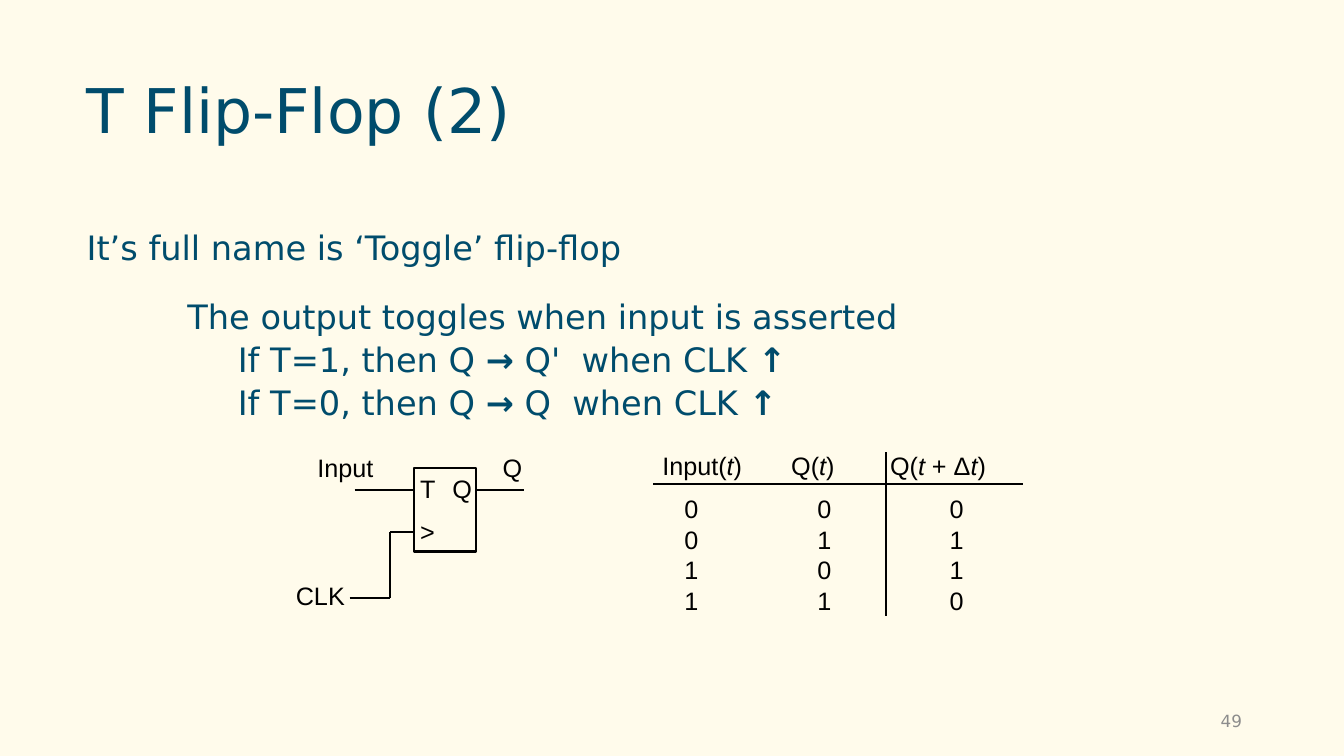
from lxml import etree
from pptx import Presentation
from pptx import util as u
from pptx.dml.color import RGBColor
from pptx.enum import shapes, text
from pptx.oxml import ns, parse_xml

BLACK = "000000"
TEAL = "004C6C"
LINE_WIDTH = u.Pt(1.5)


def color(hex_string):
    return RGBColor.from_string(hex_string)


def write(paragraph, content, size=18, font="Arial", ink=BLACK, emphasis="italic", align="LEFT"):
    """Fill a paragraph; parts between asterisks get the emphasis."""
    paragraph.alignment = getattr(text.PP_ALIGN, align)
    for index, part in enumerate(content.split("*")):
        if part:
            run = paragraph.add_run()
            run.text = part
            run.font.size = u.Pt(size)
            run.font.name = font
            run.font.color.rgb = color(ink)
            setattr(run.font, emphasis, index % 2 == 1)


presentation = Presentation()
presentation.slide_width = u.Cm(33.87)
presentation.slide_height = u.Cm(19.05)
slide = presentation.slides.add_slide(presentation.slide_layouts[1])
slide.background.fill.solid()
slide.background.fill.fore_color.rgb = color("FFFBEB")

# Title and body
title, body = slide.placeholders
for placeholder, top, height in ((title, 1.02, 3.68), (body, 5.08, 6.07)):
    placeholder.left, placeholder.width = u.Cm(1.93), u.Cm(30)
    placeholder.top, placeholder.height = u.Cm(top), u.Cm(height)
    placeholder.text_frame.auto_size = text.MSO_AUTO_SIZE.NONE

title.text_frame.vertical_anchor = text.MSO_ANCHOR.MIDDLE
title_paragraph = title.text_frame.paragraphs[0]
title_paragraph.line_spacing = 0.9
write(title_paragraph, "T Flip-Flop (2)", size=44, font="DejaVu Sans", ink=TEAL)

body_lines = [  # level, indent, line spacing, space before, text
    (0, 0, 1.5, 6, "It’s full name is ‘Toggle’ flip-flop"),
    (0, 2.54, 1.5, 6, "The output toggles when input is asserted"),
    (3, 3.81, 0.9, 5, "If T=1, then Q *→* Q'  when CLK *↑*"),
    (3, 3.81, 0.9, 5, "If T=0, then Q *→* Q  when CLK *↑*"),
]
for index, (level, indent, line_spacing, space_before, line) in enumerate(body_lines):
    frame = body.text_frame
    paragraph = frame.add_paragraph() if index else frame.paragraphs[0]
    paragraph.level = level
    paragraph.line_spacing = line_spacing
    paragraph.space_before = u.Pt(space_before)
    write(paragraph, line, size=24, font="DejaVu Sans", ink=TEAL, emphasis="bold")
    properties = paragraph._p.get_or_add_pPr()
    properties.set("marL", str(u.Cm(indent)))
    properties.set("indent", "0")
    etree.SubElement(properties, ns.qn("a:buNone"))

# Slide number
number = slide.shapes.add_textbox(u.Cm(23.93), u.Cm(17.65), u.Cm(7.62), u.Cm(1.02))
number.text_frame.word_wrap = True
number.text_frame.vertical_anchor = text.MSO_ANCHOR.MIDDLE
write(number.text_frame.paragraphs[0], "49", size=12, font="DejaVu Sans", ink="8C8C8C", align="RIGHT")

# Flip-flop symbol
flip_flop = slide.shapes.add_shape(
    shapes.MSO_SHAPE.RECTANGLE, u.Cm(10.44), u.Cm(11.79), u.Cm(1.55), u.Cm(2.11)
)
flip_flop.shadow.inherit = False
flip_flop.fill.background()
flip_flop.line.color.rgb = color(BLACK)
flip_flop.line.width = LINE_WIDTH

wires = [
    (8.94, 12.34, 10.44, 12.34),  # input
    (11.99, 12.34, 13.21, 12.34),  # output
    (9.83, 13.41, 10.44, 13.41),  # clock, in three pieces
    (9.83, 13.41, 9.83, 15.06),
    (8.81, 15.06, 9.83, 15.06),
]
for ends in wires:
    wire = slide.shapes.add_connector(shapes.MSO_CONNECTOR.STRAIGHT, *map(u.Cm, ends))
    wire.line.color.rgb = color(BLACK)
    wire.line.width = LINE_WIDTH
    etree.SubElement(wire.element.spPr, ns.qn("a:effectLst"))

labels = [  # left, top, width, alignment, text
    (7.95, 11.33, 1.57, "LEFT", "Input"),
    (12.62, 11.33, 1.57, "LEFT", "Q"),
    (10.54, 11.84, 0.7, "LEFT", "T"),
    (11.35, 11.84, 0.7, "LEFT", "Q"),
    (10.54, 12.93, 0.7, "LEFT", ">"),
    (7.17, 14.55, 1.57, "RIGHT", "CLK"),
]
for left, top, width, align, label in labels:
    box = slide.shapes.add_textbox(u.Cm(left), u.Cm(top), u.Cm(width), u.Cm(0.84))
    frame = box.text_frame
    frame.word_wrap = True
    frame.margin_left = frame.margin_right = u.Cm(0.05)
    frame.margin_top = frame.margin_bottom = u.Cm(0.08)
    write(frame.paragraphs[0], label, align=align)

# Truth table
truth_rows = [
    ("Input(*t*)", "Q(*t*)", "Q(*t* + Δ*t*)"),
    ("0", "0", "0"),
    ("0", "1", "1"),
    ("1", "0", "1"),
    ("1", "1", "0"),
]
column_widths = (3.25, 2.62, 3.45)
row_heights = (0.79, 1, 0.78, 0.78, 0.78)
header_margins = (0.23, 0.23, 0.1)
value_margins = (0.79, 0.89, 1.6)
NO_STYLE_NO_GRID = "{2D5ABB26-0587-4C30-8999-92F81FD0307C}"

table_frame = slide.shapes.add_table(
    len(truth_rows), len(column_widths), u.Cm(16.46), u.Cm(11.4),
    u.Cm(sum(column_widths)), u.Cm(sum(row_heights)),
)
table_frame.element.xpath(".//a:tableStyleId")[0].text = NO_STYLE_NO_GRID
table = table_frame.table
table.horz_banding = False
for column, width in zip(table.columns, column_widths):
    column.width = u.Cm(width)
for row, height in zip(table.rows, row_heights):
    row.height = u.Cm(height)

for row_index, values in enumerate(truth_rows):
    is_header = row_index == 0
    for column_index, value in enumerate(values):
        cell = table.cell(row_index, column_index)
        cell.fill.background()
        margins = header_margins if is_header else value_margins
        cell.margin_left = u.Cm(margins[column_index])
        cell.margin_right = cell.margin_top = cell.margin_bottom = 0
        cell.vertical_anchor = text.MSO_ANCHOR.TOP if is_header else text.MSO_ANCHOR.BOTTOM
        write(cell.text_frame.paragraphs[0], value)
        for side, has_border in (("lnB", is_header), ("lnR", column_index == 1)):
            if has_border:
                border = parse_xml(
                    f'<a:{side} {ns.nsdecls("a")} w="{LINE_WIDTH}"><a:solidFill>'
                    f'<a:srgbClr val="{BLACK}"/></a:solidFill></a:{side}>'
                )
                cell._tc.get_or_add_tcPr().insert(0, border)

presentation.save("out.pptx")
